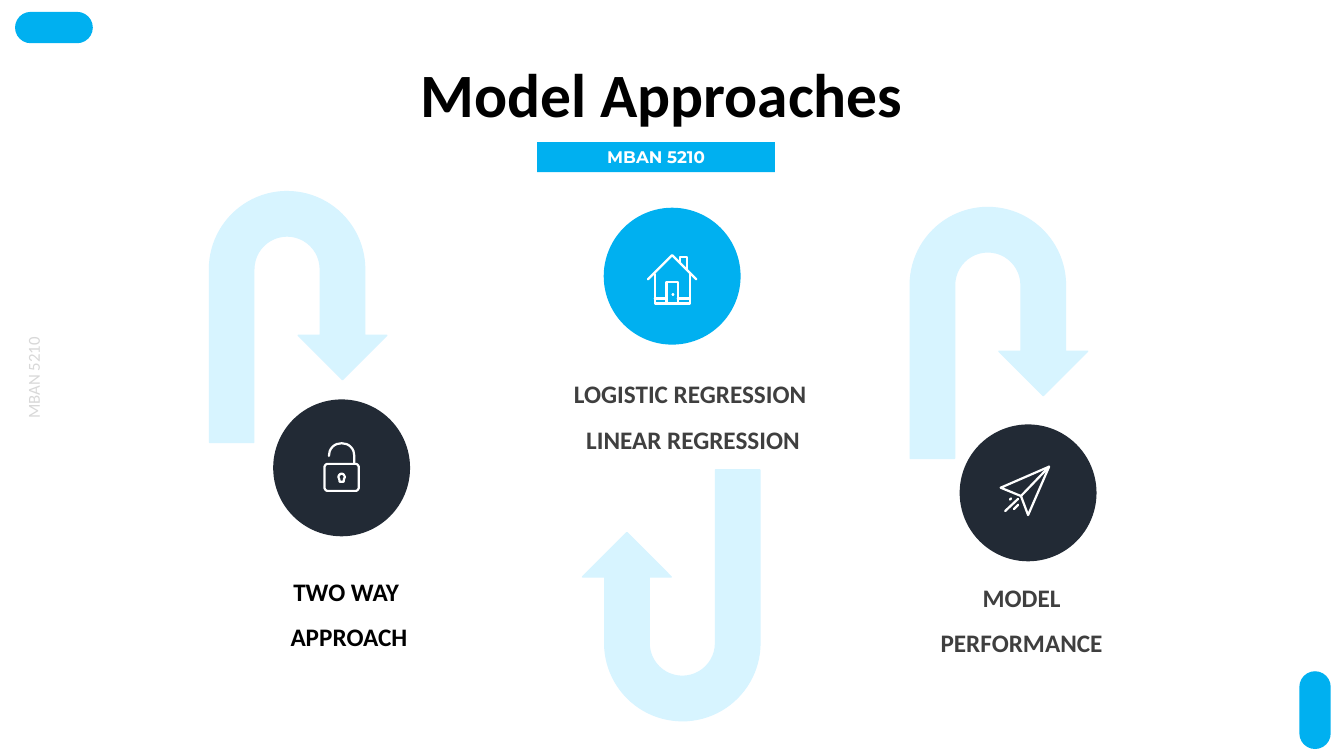
from dataclasses import dataclass
from math import cos, radians, sin

from lxml.etree import SubElement
from pptx import Presentation
from pptx.dml.color import RGBColor
from pptx.enum.shapes import MSO_SHAPE as Shape
from pptx.enum.text import MSO_ANCHOR as Anchor, MSO_AUTO_SIZE as AutoSize, PP_ALIGN as Align
from pptx.oxml.ns import qn
from pptx.util import Cm, Pt

BLUE = RGBColor(0x00, 0xB0, 0xF0)
PALE_BLUE = RGBColor(0xD7, 0xF4, 0xFF)
NAVY = RGBColor(0x22, 0x2A, 0x35)
BLACK = RGBColor(0x00, 0x00, 0x00)
DARK_GREY = RGBColor(0x3F, 0x3F, 0x3F)
LIGHT_GREY = RGBColor(0xD8, 0xD8, 0xD8)
WHITE = RGBColor(0xFF, 0xFF, 0xFF)

CIRCLE = 3.45
ICON_UNIT = Cm(0.01)
COURSE = "MBAN 5210"

Points = list[tuple[float, float]]


@dataclass
class Box:
    """A frame in centimetres."""
    x: float
    y: float
    w: float
    h: float
    rotation: float = 0


@dataclass
class Stroke:
    """One pen stroke of an icon, in icon units from the circle's centre."""
    points: Points
    closed: bool = False


@dataclass
class Stage:
    """A circle with an icon and a label."""
    cx: float
    cy: float
    fill: RGBColor
    icon: list[Stroke]
    label: Box
    lines: list[str]
    color: RGBColor


def arc(cx: float, cy: float, radius: float, start: int, end: int) -> Points:
    """Return points along a circular arc, angles in clockwise degrees."""
    steps = 16
    angles = [radians(start + (end - start) * i / steps) for i in range(steps + 1)]
    return [(cx + radius * cos(a), cy + radius * sin(a)) for a in angles]


def place(sp, box: Box) -> None:
    """Move, size and turn a shape."""
    sp.left, sp.top, sp.width, sp.height = Cm(box.x), Cm(box.y), Cm(box.w), Cm(box.h)
    sp.rotation = box.rotation


def add_solid(kind: Shape, box: Box, fill: RGBColor, adjustments: tuple = (), outlined: bool = False):
    """Add a flat preset shape, optionally with a line in its fill colour."""
    sp = s.shapes.add_shape(kind, 0, 0, 0, 0)
    place(sp, box)
    sp.shadow.inherit = False
    sp.fill.solid()
    sp.fill.fore_color.rgb = fill
    if outlined:
        sp.line.color.rgb = fill
        sp.line.width = Pt(1)
    else:
        sp.line.fill.background()
    for i, value in enumerate(adjustments):
        sp.adjustments[i] = value
    return sp


def write(sp, lines: list[str], size: int, color: RGBColor, bold: bool = True,
          font: str = "Calibri", spacing: float = 1) -> None:
    """Fill a shape with centred paragraphs of one style."""
    tf = sp.text_frame
    tf.text = "\n".join(lines)
    tf.word_wrap = True
    tf.auto_size = AutoSize.NONE
    tf.vertical_anchor = Anchor.TOP
    for p in tf.paragraphs:
        p.alignment = Align.CENTER
        p.line_spacing = spacing
        for r in p.runs:
            r.font.name, r.font.size, r.font.bold = font, Pt(size), bold
            r.font.color.rgb = color


def add_text(box: Box, lines: list[str], size: int, color: RGBColor, **style) -> None:
    """Add a text box."""
    sp = s.shapes.add_textbox(0, 0, 0, 0)
    place(sp, box)
    write(sp, lines, size, color, **style)


def add_icon(cx: float, cy: float, strokes: list[Stroke]) -> None:
    """Draw strokes as one white line drawing around a centre."""
    builder = s.shapes.build_freeform(*strokes[0].points[0], scale=ICON_UNIT)
    for i, stroke in enumerate(strokes):
        if i:
            builder.move_to(*stroke.points[0])
        builder.add_line_segments(stroke.points[1:], close=stroke.closed)
    sp = builder.convert_to_shape(Cm(cx), Cm(cy))
    sp.shadow.inherit = False
    sp.fill.background()
    sp.line.color.rgb = WHITE
    sp.line.width = Pt(1.6)
    ln = sp.line._get_or_add_ln()
    ln.set("cap", "rnd")
    SubElement(ln, qn("a:round"))


def add_stage(stage: Stage) -> None:
    """Add a stage's circle, icon and label."""
    half = CIRCLE / 2
    add_solid(Shape.OVAL, Box(stage.cx - half, stage.cy - half, CIRCLE, CIRCLE), stage.fill)
    add_icon(stage.cx, stage.cy, stage.icon)
    add_text(stage.label, stage.lines, 18, stage.color, spacing=1.5)


HOUSE = [
    Stroke([(-61, 8), (0, -53), (61, 8)]),
    Stroke([(-44, -5), (-44, 69), (44, 69), (44, -5)]),
    Stroke([(-14, 69), (-14, 15), (14, 15), (14, 69)]),
    Stroke([(-44, 56), (-14, 56)]),
    Stroke([(14, 56), (44, 56)]),
    Stroke([(19, -36), (19, -48), (38, -48), (38, -18)]),
    Stroke([(1, 46), (3, 46)]),
]
PADLOCK = [
    Stroke(arc(-35, -2, 8, 180, 270) + arc(35, -2, 8, 270, 360)
           + arc(35, 50, 8, 0, 90) + arc(-35, 50, 8, 90, 180), closed=True),
    Stroke(arc(0, -30, 32, 180, 360) + [(32, -10)]),
    Stroke(arc(0, 23, 8, 140, 400) + [(5, 35), (-5, 35)], closed=True),
]
PAPER_PLANE = [
    Stroke([(53, -66), (-69, -13), (-18, 8), (0, 56)], closed=True),
    Stroke([(53, -66), (-18, 8)]),
    Stroke([(-25, 15), (-58, 46)]),
    Stroke([(-25, 30), (-36, 41)]),
    Stroke([(-43, 14), (-46, 17)]),
]
STAGES = [
    Stage(8.61, 11.79, NAVY, PADLOCK, Box(5.38, 14.02, 6.83, 2.44),
          ["TWO WAY ", "APPROACH"], BLACK),
    Stage(16.94, 6.96, BLUE, HOUSE, Box(13.72, 9.04, 7.49, 2.44),
          ["LOGISTIC REGRESSION ", "LINEAR REGRESSION"], DARK_GREY),
    Stage(25.91, 12.42, NAVY, PAPER_PLANE, Box(22.61, 14.17, 6.27, 2.44),
          ["MODEL PERFORMANCE"], DARK_GREY),
]
ARROWS = [(5.28, 4.83, 0), (14.68, 11.84, 180), (22.94, 5.23, 0)]
PILLS = [(0.38, 0.3, 0), (32.16, 17.5, 90)]

prs = Presentation()
prs.slide_width, prs.slide_height = Cm(33.87), Cm(19.05)
s = prs.slides.add_slide(prs.slide_layouts[5])

title = s.shapes.title
place(title, Box(8.79, 1.27, 15.77, 2.31))
write(title, ["Model Approaches"], 44, BLACK)

bar = add_solid(Shape.RECTANGLE, Box(13.54, 3.58, 5.99, 0.76), BLUE)
write(bar, [COURSE], 12, WHITE, font="Montserrat")
add_text(Box(-0.94, 9.14, 3.56, 0.76, 270), [COURSE], 12, LIGHT_GREY, bold=False)

for x, y, turn in PILLS:
    add_solid(Shape.ROUNDED_RECTANGLE, Box(x, y, 1.96, 0.79, turn), BLUE, (0.5,))
for stage in STAGES:
    add_stage(stage)
for x, y, turn in ARROWS:
    add_solid(Shape.U_TURN_ARROW, Box(x, y, 4.47, 6.32, turn), PALE_BLUE,
              (0.25, 0.25, 0.25, 0.44, 0.75), outlined=True)

prs.save("out.pptx")
